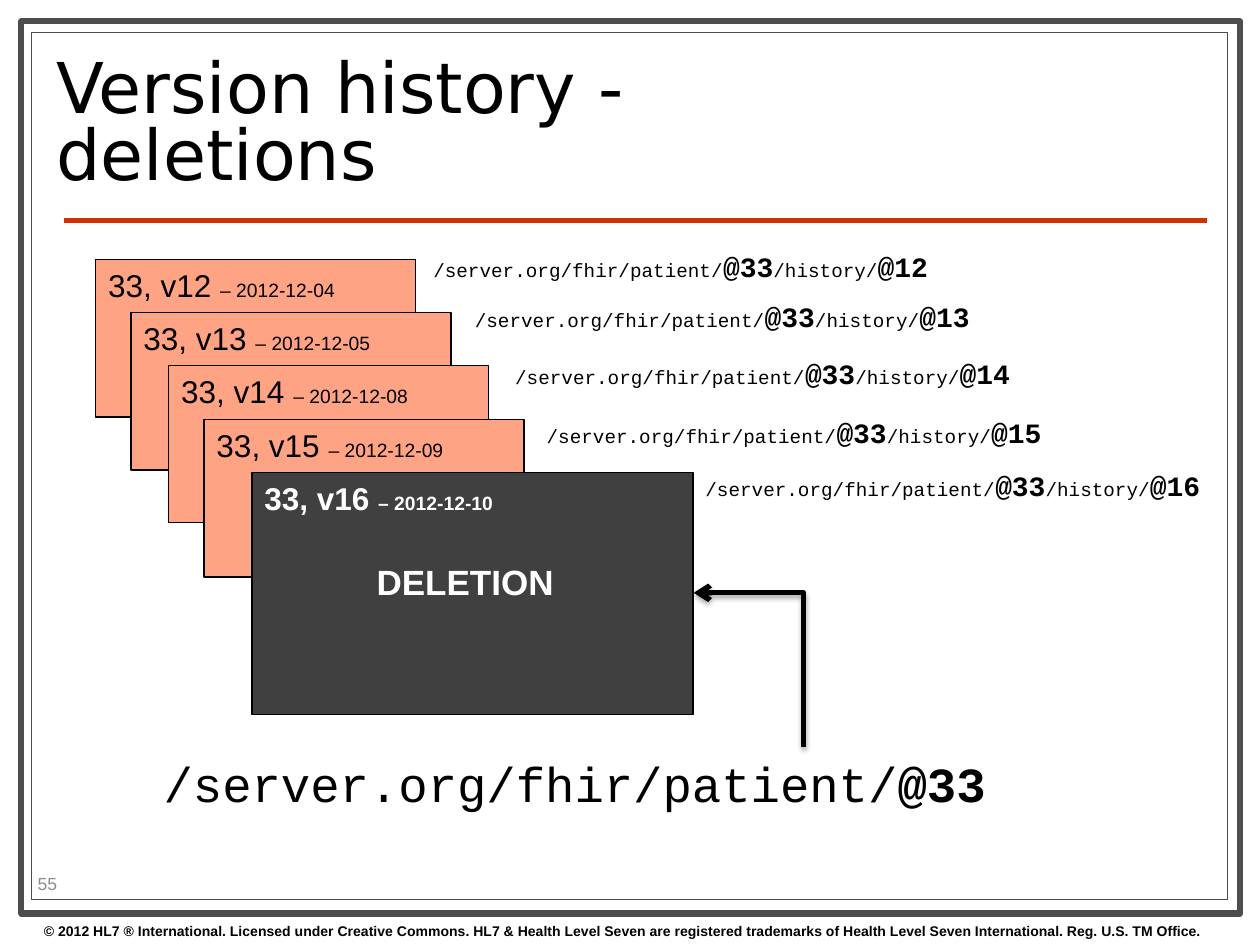
from lxml import etree
from pptx import Presentation
from pptx.dml.color import RGBColor
from pptx.enum.shapes import MSO_CONNECTOR, MSO_SHAPE
from pptx.enum.text import MSO_ANCHOR, PP_ALIGN
from pptx.oxml import parse_xml
from pptx.oxml.ns import nsdecls, qn
from pptx.util import Inches, Pt

RECTANGLE = MSO_SHAPE.RECTANGLE
STRAIGHT, ELBOW = MSO_CONNECTOR.STRAIGHT, MSO_CONNECTOR.ELBOW
TOP, MIDDLE = MSO_ANCHOR.TOP, MSO_ANCHOR.MIDDLE
LEFT = PP_ALIGN.LEFT

WIDTH, HEIGHT = 10, 7.5
COLORS = {"white": "FFFFFF", "black": "000000", "frame": "4D4D4D", "rule": "CC3300",
          "number": "8C8C8C", "version": "FFA385", "deleted": "404040"}
SANS, MONO, HEADING = "Arial", "Courier New", "DejaVu Sans"

TITLE = "Version history - deletions"
NUMBER = "55"
COPYRIGHT = ("© 2012 HL7 ® International. Licensed under Creative Commons. HL7 & Health Level Seven "
             "are registered trademarks of Health Level Seven International. Reg. U.S. TM Office.")
SERVER, PATIENT = "/server.org/fhir/patient/", "@33"
VERSIONS = [
    ("12", "2012-12-04", (0.76, 2.06), (3.34, 1.93)),
    ("13", "2012-12-05", (1.04, 2.48), (3.67, 2.33)),
    ("14", "2012-12-08", (1.34, 2.9), (3.99, 2.78)),
    ("15", "2012-12-09", (1.62, 3.33), (4.24, 3.25)),
    ("16", "2012-12-10", (2, 3.75), (5.5, 3.67)),
]
CARD, DELETED_CARD = (2.54, 1.25), (3.5, 1.92)
LABEL = (4.25, 0.37)
FRAMES = [((0.17, 0.17, 9.67, 7.08), 3.5), ((0.25, 0.26, 9.49, 6.88), 0.75)]


def color(name):
    return RGBColor.from_string(COLORS[name])


def style(size, name=SANS, tint="black", bold=False):
    return {"size": Pt(size), "name": name, "bold": bold, "tint": tint}


def add_paragraph(box, spans, first=True, **spacing):
    frame = box.text_frame
    para = frame.paragraphs[0] if first else frame.add_paragraph()
    para.alignment = LEFT
    for key, value in spacing.items():
        setattr(para, key, value)
    for text, look in spans:
        span = para.add_run()
        span.text = text
        for key, value in look.items():
            if key == "tint":
                span.font.color.rgb = color(value)
            else:
                setattr(span.font, key, value)
    return para


def add_text(slide, area, spans, anchor=TOP, **spacing):
    box = slide.shapes.add_textbox(*map(Inches, area))
    box.text_frame.word_wrap = True
    box.text_frame.vertical_anchor = anchor
    add_paragraph(box, spans, **spacing)


def add_box(slide, area, fill, line, weight):
    box = slide.shapes.add_shape(RECTANGLE, *map(Inches, area))
    box.shadow.inherit = False
    box.fill.solid()
    box.fill.fore_color.rgb = color(fill)
    box.line.color.rgb = color(line)
    box.line.width = Pt(weight)
    box.text_frame.word_wrap = True
    box.text_frame.vertical_anchor = TOP
    return box


def add_line(slide, kind, ends, tint):
    line = slide.shapes.add_connector(kind, *map(Inches, ends))
    line.line.color.rgb = color(tint)
    line.line.width = Pt(3)
    effects = etree.SubElement(line._element.spPr, qn("a:effectLst"))
    return line, effects


def add_arrow(slide):
    arrow, effects = add_line(slide, ELBOW, (5.33, 4.88, 6.55, 5.75), "black")
    properties = arrow._element.spPr
    properties.find(qn("a:prstGeom")).set("prst", "bentConnector2")
    frame = properties.find(qn("a:xfrm"))
    frame.set("rot", str(270 * 60000))
    frame.set("flipV", "1")
    etree.SubElement(properties.find(qn("a:ln")), qn("a:tailEnd"), type="arrow")
    effects.append(parse_xml(
        f'<a:outerShdw {nsdecls("a")} blurRad="{Pt(3.1)}" dist="{Pt(1.8)}" dir="5400000" rotWithShape="0">'
        f'<a:srgbClr val="{COLORS["black"]}"><a:alpha val="35000"/></a:srgbClr></a:outerShdw>'))


def add_version(slide, version, date, card_at, label_at):
    deleted = version == VERSIONS[-1][0]
    size, fill, tint = (DELETED_CARD, "deleted", "white") if deleted else (CARD, "version", "black")
    card = add_box(slide, card_at + size, fill, "black", 0.75)
    add_paragraph(card, [(f"33, v{version} ", style(18, tint=tint, bold=deleted)),
                         (f"– {date}", style(11, tint=tint, bold=deleted))])
    if deleted:
        para = add_paragraph(card, [("DELETION", style(20, tint=tint, bold=True))],
                             first=False, space_before=Pt(25))
        para._p.get_or_add_pPr().set("marL", str(Inches(0.89)))
    small, large = style(11, MONO), style(16, MONO, bold=True)
    add_text(slide, label_at + LABEL, [(SERVER, small), (PATIENT, large),
                                       ("/history/", small), (f"@{version}", large)])


def main():
    deck = Presentation()
    deck.slide_width, deck.slide_height = Inches(WIDTH), Inches(HEIGHT)
    slide = deck.slides.add_slide(deck.slide_layouts[6])
    for area, weight in FRAMES:
        add_box(slide, area, "white", "frame", weight)
    add_line(slide, STRAIGHT, (0.51, 1.75, 9.58, 1.75), "rule")
    add_text(slide, (0.25, 7.27, WIDTH - 0.25, 0.23), [(COPYRIGHT, style(8, bold=True))])
    add_text(slide, (0.35, 0.36, 7.17, 1.29), [(TITLE, style(40, HEADING))], MIDDLE, line_spacing=0.8)
    add_text(slide, (0.2, 6.89, 0.79, 0.24), [(NUMBER, style(10, tint="number"))], MIDDLE)
    for version in VERSIONS:
        add_version(slide, *version)
    add_text(slide, (1.2, 5.93, 6.88, 0.57), [(SERVER, style(28, MONO)),
                                              (PATIENT, style(28, MONO, bold=True))])
    add_arrow(slide)
    deck.save("out.pptx")


if __name__ == "__main__":
    main()
